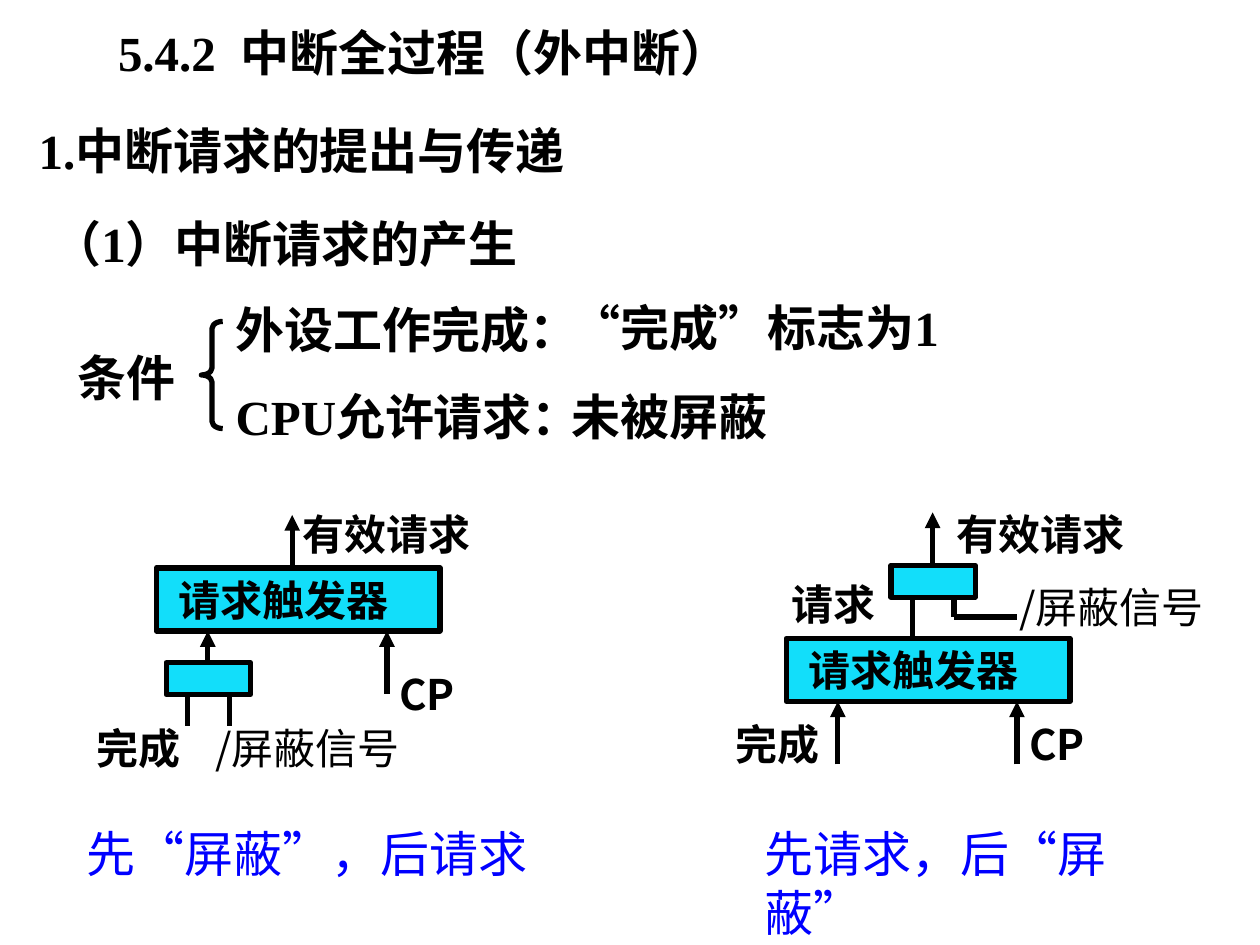
from lxml.etree import SubElement
from pptx import Presentation
from pptx.dml.color import RGBColor
from pptx.enum.lang import MSO_LANGUAGE_ID as Lang
from pptx.enum.shapes import MSO_CONNECTOR as Link, MSO_SHAPE as Shape
from pptx.enum.text import MSO_ANCHOR as Anchor, PP_ALIGN as Align
from pptx.oxml.ns import qn
from pptx.util import Cm, Pt

SERIF = "Times New Roman"
SANS = "Noto Sans CJK SC"
BLACK, BLUE, CYAN = "000000", "0000FF", "12DEFA"
HEADING_H, LABEL_H = 1.45, 1.3
TRIGGER_W, TRIGGER_H = 5.72, 1.27
GATE_W, GATE_H = 1.7, 0.64


def color(value):
    return RGBColor.from_string(value)


def write(frame, text, size=24, font=SANS, ink=BLACK, bold=True):
    frame.word_wrap = True
    frame.vertical_anchor = Anchor.TOP
    paragraph = frame.paragraphs[0]
    paragraph.alignment = Align.LEFT
    run = paragraph.add_run()
    run.text = text
    run.font.size = Pt(size)
    run.font.bold = bold
    run.font.name = font
    run.font.color.rgb = color(ink)
    run.font.language_id = Lang.SIMPLIFIED_CHINESE
    SubElement(run.font._element, qn("a:ea")).set("typeface", SANS)


def add_label(slide, left, top, width, text, height=LABEL_H, **style):
    label = slide.shapes.add_textbox(Cm(left), Cm(top), Cm(width), Cm(height))
    write(label.text_frame, text, **style)


def add_heading(slide, left, top, width, text, **style):
    add_label(slide, left, top, width, text, HEADING_H, size=28, **style)


def add_outline(slide, kind, left, top, width, height, fill=None):
    outline = slide.shapes.add_shape(kind, Cm(left), Cm(top), Cm(width), Cm(height))
    outline.shadow.inherit = False
    outline.line.color.rgb = color(BLACK)
    outline.line.width = Pt(3)
    if fill:
        outline.fill.solid()
        outline.fill.fore_color.rgb = color(fill)
    else:
        outline.fill.background()
    return outline


def add_wire(slide, x1, y1, x2, y2, arrow=False):
    wire = slide.shapes.add_connector(Link.STRAIGHT, Cm(x1), Cm(y1), Cm(x2), Cm(y2))
    wire.line.color.rgb = color(BLACK)
    wire.line.width = Pt(3)
    if arrow:
        SubElement(wire.line._get_or_add_ln(), qn("a:tailEnd")).set("type", "triangle")
    SubElement(wire._element.spPr, qn("a:effectLst"))


def add_trigger(slide, left, top):
    trigger = add_outline(slide, Shape.RECTANGLE, left, top, TRIGGER_W, TRIGGER_H, CYAN)
    write(trigger.text_frame, " 请求触发器")


def add_gate(slide, left, top):
    add_outline(slide, Shape.RECTANGLE, left, top, GATE_W, GATE_H, CYAN)


def add_titles(slide, left, top):
    titles = [
        (1.6, 0, 17.35, "5.4.2  中断全过程（外中断）"),
        (0, 1.98, 16.08, "1.中断请求的提出与传递"),
        (0.28, 3.84, 16.08, "（1）中断请求的产生"),
    ]
    for x, y, width, text in titles:
        add_heading(slide, left + x, top + y, width, text, font=SERIF)


def add_conditions(slide, left, top):
    add_heading(slide, left, top + 1.01, 3.35, "条件", font=SERIF)
    add_outline(slide, Shape.LEFT_BRACE, left + 2.74, top + 0.61, 0.43, 2.16).adjustments[0] = 0.333
    conditions = [
        (3.18, 0.05, 10.16, "外设工作完成："),
        (9.96, 0, 9.96, "“完成”标志为1"),
        (3.18, 1.8, 10.16, "CPU允许请求："),
        (9.96, 1.8, 9.96, "未被屏蔽"),
    ]
    for x, y, width, text in conditions:
        add_heading(slide, left + x, top + y, width, text, font=SERIF)


def add_mask_first(slide, left, top):
    add_trigger(slide, left + 1.45, top + 1.32)
    add_gate(slide, left + 1.65, top + 3.23)
    for x in (2.08, 2.92):
        add_wire(slide, left + x, top + 3.86, left + x, top + 4.5)
    for x, start, tip in ((2.49, 3.23, 2.59), (6.1, 3.86, 2.59), (4.19, 1.32, 0.25)):
        add_wire(slide, left + x, top + start, left + x, top + tip, arrow=True)
    add_label(slide, left, top + 4.32, 3.38, "完成")
    add_label(slide, left + 2.39, top + 4.32, 4.8, "/屏蔽信号", bold=False)
    add_label(slide, left + 6.1, top + 3.23, 3.38, "CP")
    add_label(slide, left + 4.14, top, 4.65, "有效请求")
    add_heading(slide, left - 0.2, top + 6.35, 10.21, "先“屏蔽”，后请求", ink=BLUE, bold=False)


def add_request_first(slide, left, top):
    add_trigger(slide, left + 1.27, top + 2.74)
    add_gate(slide, left + 3.38, top + 1.27)
    wires = [(3.81, 1.91, 3.81, 2.74), (4.65, 1.91, 4.65, 2.31), (4.65, 2.31, 5.92, 2.31)]
    for x1, y1, x2, y2 in wires:
        add_wire(slide, left + x1, top + y1, left + x2, top + y2)
    for x, start, tip in ((2.31, 5.28, 4.01), (5.92, 5.28, 4.01), (4.22, 1.27, 0.2)):
        add_wire(slide, left + x, top + start, left + x, top + tip, arrow=True)
    add_label(slide, left, top + 4.22, 3.38, "完成")
    add_label(slide, left + 5.72, top + 1.47, 4.62, "/屏蔽信号", bold=False)
    add_label(slide, left + 5.92, top + 4.22, 3.38, "CP")
    add_label(slide, left + 1.12, top + 1.4, 3.38, "请求")
    add_label(slide, left + 4.45, top, 4.88, "有效请求")
    add_heading(slide, left + 0.58, top + 6.35, 8.97, "先请求，后“屏蔽”", ink=BLUE, bold=False)


def main():
    deck = Presentation()
    deck.slide_width, deck.slide_height = Cm(25.4), Cm(19.05)
    slide = deck.slides.add_slide(deck.slide_layouts[6])
    add_titles(slide, 0.53, 0.33)
    add_conditions(slide, 1.32, 5.87)
    add_mask_first(slide, 1.7, 10.13)
    add_request_first(slide, 14.58, 10.13)
    deck.save("out.pptx")


if __name__ == "__main__":
    main()
